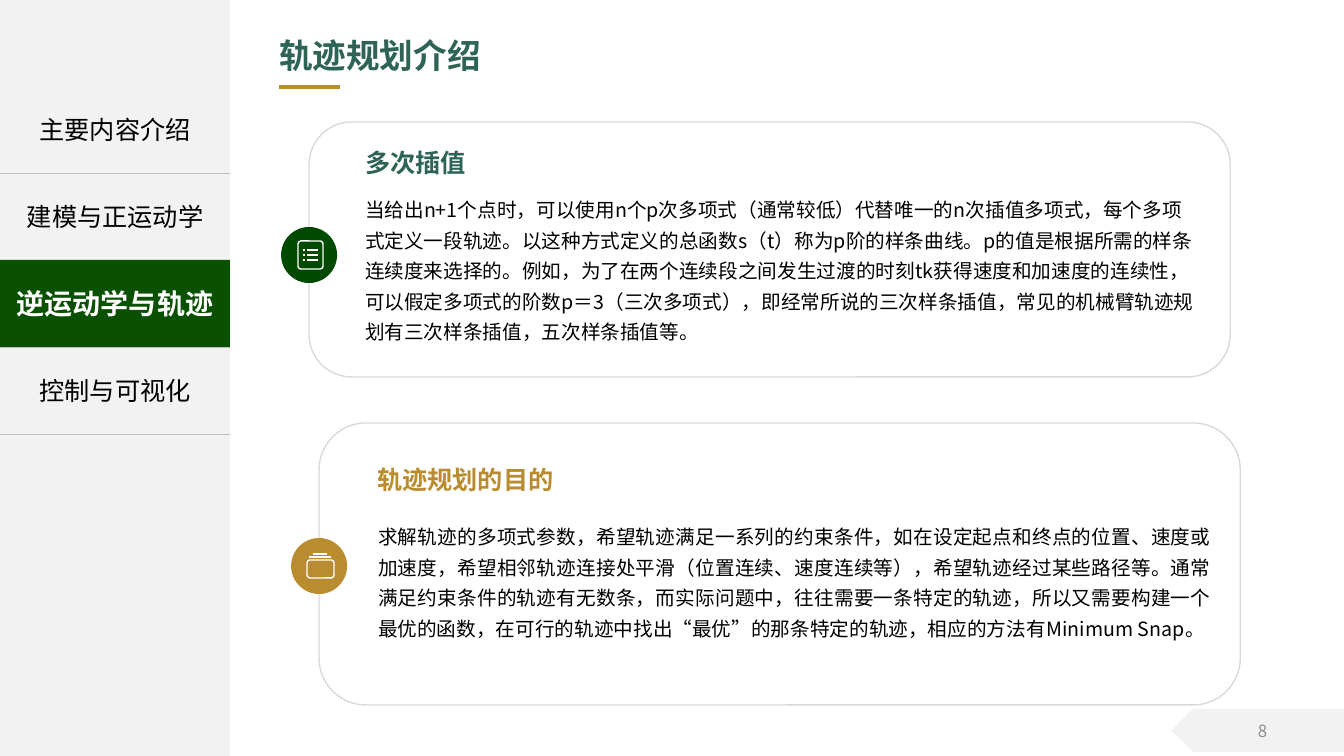
"""Build the trajectory planning slide with its section menu and two cards."""
from pptx import Presentation
from pptx import util as u
from pptx.dml.color import RGBColor
from pptx.enum import shapes, text
from pptx.oxml.ns import qn
from lxml import etree

FONT = "Noto Sans CJK SC"
EMU_PER_PX = 914400 / 100.8
GREEN, GOLD, GREY, BLACK, WHITE = "2E6455", "BA8C30", "F2F2F2", "000000", "FFFFFF"

TITLE = "轨迹规划介绍"
PAGE_NUMBER = "8"
SECTIONS = ["主要内容介绍", "建模与正运动学", "逆运动学与轨迹", "控制与可视化"]
ACTIVE = 2
MENU_WIDTH, MENU_TOP, ROW = 230, 86, 87

CARDS = [
    dict(frame=(319, 423, 921, 282), badge=(291, 538), badge_fill=GOLD,
         icon=(307, 560, 27, 18), icon_adj=0.17,
         strokes=[(313, 327, 554), (309, 331, 557)],
         heading="轨迹规划的目的", heading_color=GOLD, heading_at=(377, 464, 178, 30),
         body_at=(378, 518, 833, 121), align=text.PP_ALIGN.JUSTIFY,
         body="求解轨迹的多项式参数，希望轨迹满足一系列的约束条件，如在设定起点和终点的位置、"
              "速度或加速度，希望相邻轨迹连接处平滑（位置连续、速度连续等），希望轨迹经过某些"
              "路径等。通常满足约束条件的轨迹有无数条，而实际问题中，往往需要一条特定的轨迹，"
              "所以又需要构建一个最优的函数，在可行的轨迹中找出“最优”的那条特定的轨迹，"
              "相应的方法有Minimum Snap。"),
    dict(frame=(309, 122, 921, 255), badge=(281, 227), badge_fill="004900",
         icon=(298, 241, 25, 28), icon_adj=0.12,
         strokes=[(x1, x2, y) for y in (250, 255, 260) for x1, x2 in ((303, 305), (307, 318))],
         heading="多次插值", heading_color=GREEN, heading_at=(365, 147, 102, 30),
         body_at=(365, 191, 833, 151), align=text.PP_ALIGN.LEFT,
         body="当给出n+1个点时，可以使用n个p次多项式（通常较低）代替唯一的n次插值多项式，"
              "每个多项式定义一段轨迹。以这种方式定义的总函数s（t）称为p阶的样条曲线。"
              "p的值是根据所需的样条连续度来选择的。例如，为了在两个连续段之间发生过渡的时刻tk"
              "获得速度和加速度的连续性，可以假定多项式的阶数p＝3（三次多项式），即经常所说的"
              "三次样条插值，常见的机械臂轨迹规划有三次样条插值，五次样条插值等。"),
]
BADGE_SIZE = 56

deck = Presentation()
deck.slide_width, deck.slide_height = u.Inches(13.33), u.Inches(7.5)
slide = deck.slides.add_slide(deck.slide_layouts[6])


def px(*lengths):
    return [u.Emu(round(length * EMU_PER_PX)) for length in lengths]


def rgb(color):
    return RGBColor.from_string(color)


def add_block(preset, at, fill=None, line=None, width=1, adj=None):
    block = slide.shapes.add_shape(preset, *px(*at))
    block.shadow.inherit = False
    if adj is not None:
        block.adjustments[0] = adj
    if fill:
        block.fill.solid()
        block.fill.fore_color.rgb = rgb(fill)
    else:
        block.fill.background()
    if line:
        block.line.color.rgb = rgb(line)
        block.line.width = u.Pt(width)
    else:
        block.line.fill.background()
    return block


def add_rule(x1, x2, y, color, width):
    rule = slide.shapes.add_connector(shapes.MSO_CONNECTOR.STRAIGHT, *px(x1, y, x2, y))
    rule.line.color.rgb = rgb(color)
    rule.line.width = u.Pt(width)
    etree.SubElement(rule._element.spPr, qn("a:effectLst"))


def add_text(words, at, size, color, bold=False, align=text.PP_ALIGN.LEFT,
             anchor=text.MSO_ANCHOR.MIDDLE, wrap=True, spacing=None, insets=(0, 0, 0, 0)):
    frame = slide.shapes.add_textbox(*px(*at)).text_frame
    frame.word_wrap = wrap
    frame.vertical_anchor = anchor
    frame.margin_left, frame.margin_top, frame.margin_right, frame.margin_bottom = px(*insets)
    paragraph = frame.paragraphs[0]
    paragraph.alignment = align
    if spacing:
        paragraph.line_spacing = spacing
    run = paragraph.add_run()
    run.text = words
    run.font.size, run.font.bold = u.Pt(size), bold
    run.font.color.rgb = rgb(color)
    run.font.name = FONT
    etree.SubElement(run.font._element, qn("a:ea")).set("typeface", FONT)


def add_menu():
    add_block(shapes.MSO_SHAPE.RECTANGLE, (0, 0, MENU_WIDTH, 756), GREY)
    for row in range(len(SECTIONS)):
        add_rule(0, MENU_WIDTH, MENU_TOP + ROW * (row + 1), "BFBFBF", 0.5)
    add_block(shapes.MSO_SHAPE.RECTANGLE, (0, MENU_TOP + ROW * ACTIVE, MENU_WIDTH, ROW), "095000")
    for row, section in enumerate(SECTIONS):
        active = row == ACTIVE
        add_text(section, (7, MENU_TOP + ROW * row, 216, ROW), 20 if active else 18,
                 WHITE if active else BLACK, active, text.PP_ALIGN.CENTER)


def add_card(card):
    rounded = shapes.MSO_SHAPE.ROUNDED_RECTANGLE
    add_block(rounded, card["frame"], line="D9D9D9")
    add_block(shapes.MSO_SHAPE.OVAL, (*card["badge"], BADGE_SIZE, BADGE_SIZE), card["badge_fill"])
    add_block(rounded, card["icon"], line=WHITE, adj=card["icon_adj"])
    for x1, x2, y in card["strokes"]:
        add_rule(x1, x2, y, WHITE, 1)
    add_text(card["heading"], card["heading_at"], 18, card["heading_color"], True,
             anchor=text.MSO_ANCHOR.TOP, wrap=False)
    add_text(card["body"], card["body_at"], 14, BLACK, align=card["align"],
             anchor=text.MSO_ANCHOR.TOP, spacing=1.3)


add_menu()
add_rule(279, 340, 87, GOLD, 2.25)
page_tab = add_block(shapes.MSO_SHAPE.PENTAGON, (1171, 709, 173, 43), GREY)
page_tab.rotation = 180
add_text(PAGE_NUMBER, (975, 711, 302, 40), 12, "8C8C8C",
         align=text.PP_ALIGN.RIGHT, insets=(10, 5, 10, 5))
add_text(TITLE, (260, 23, 527, 64), 24, GREEN, True, insets=(19, 5, 10, 5))
for card in CARDS:
    add_card(card)
deck.save("out.pptx")
